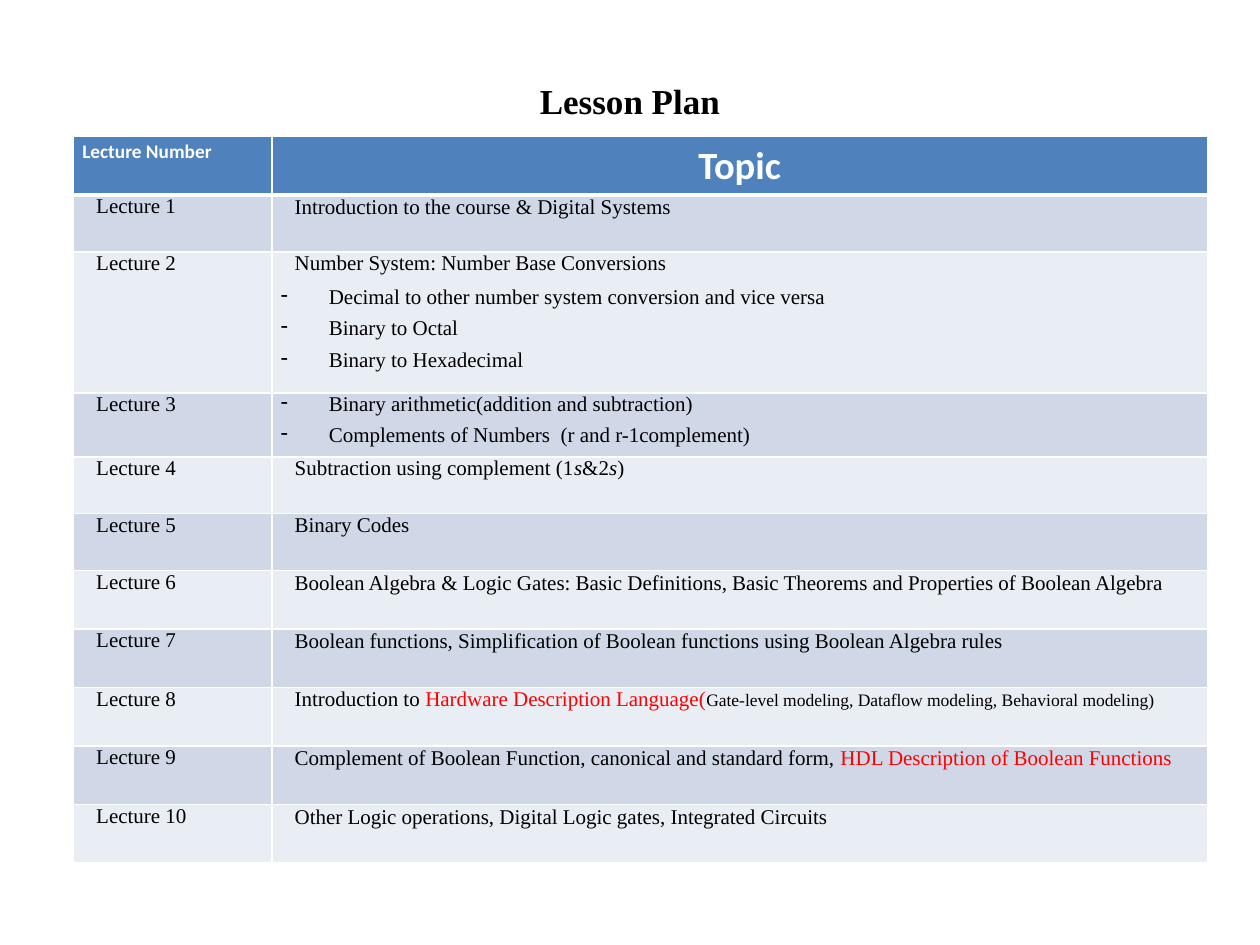
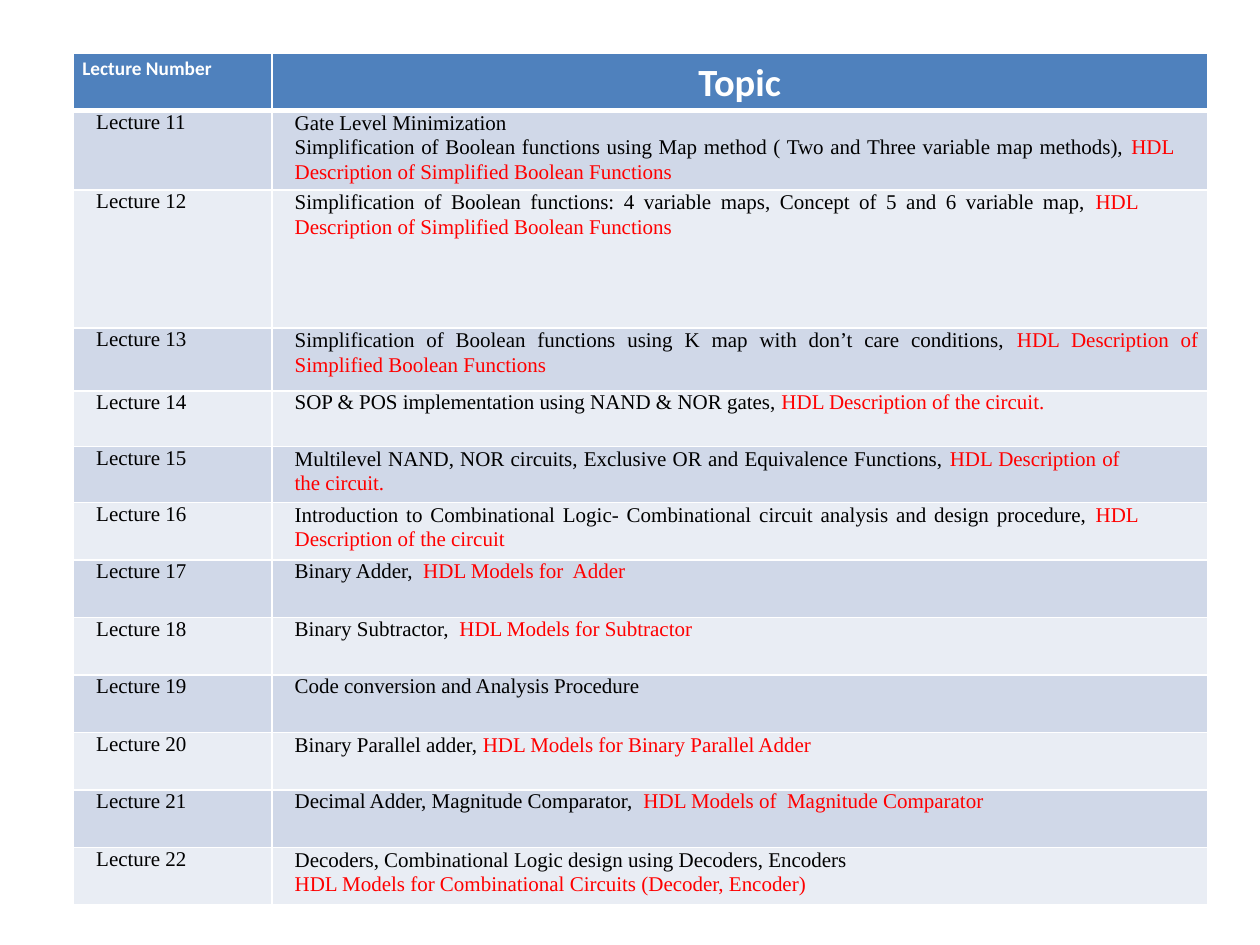
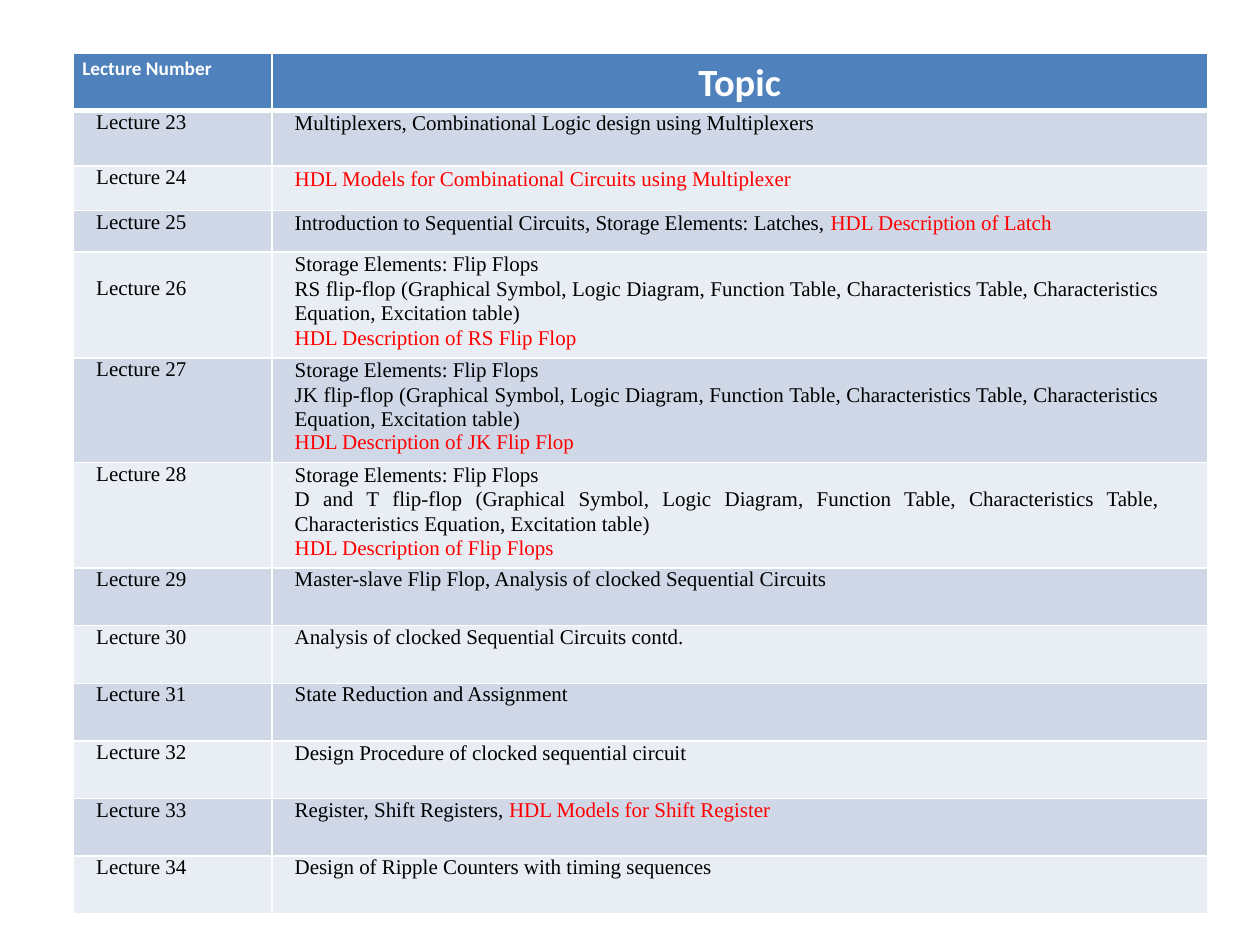
from dataclasses import dataclass
from functools import partial
from itertools import count

from lxml.etree import SubElement
from pptx import Presentation
from pptx.dml.color import RGBColor
from pptx.enum.text import MSO_ANCHOR, PP_ALIGN
from pptx.oxml import parse_xml
from pptx.oxml.ns import nsdecls, qn
from pptx.util import Cm, Pt


@dataclass(frozen=True)
class Theme:
    """Colours, fonts, type sizes and table measures of the deck."""
    ink: str = "000000"
    accent: str = "FF0000"
    white: str = "FFFFFF"
    header: str = "4F81BD"
    bands: tuple = ("D0D8E8", "E9EDF4")
    serif: str = "Times New Roman"
    sans: str = "Calibri"
    title_size: float = 20
    topic_size: float = 22
    label_size: float = 11
    body_size: float = 12
    small_size: float = 10
    inset: Cm = Cm(0.18)
    indent: Cm = Cm(0.28)
    hanging: Cm = Cm(0.97)
    columns: tuple = (Cm(4), Cm(18.86))
    table_left: Cm = Cm(1.48)


THEME = Theme()


def add_text(p, text, *, size=THEME.body_size, color=THEME.ink,
             font=THEME.serif, bold=False, italic=False):
    """Add one formatted run to a paragraph."""
    r = p.add_run()
    r.text = text
    r.font.size = Pt(size)
    r.font.name = font
    r.font.bold = bold
    r.font.italic = italic
    r.font.color.rgb = RGBColor.from_string(color)


def red(text):
    """Return a run in the accent colour."""
    return text, {"color": THEME.accent}


def italic(text):
    """Return an italic run."""
    return text, {"italic": True}


def small(text):
    """Return a run in the small size."""
    return text, {"size": THEME.small_size}


def para(*runs, align=PP_ALIGN.JUSTIFY, spacing=1.05, before=0, right=0,
         bullet=None, left=THEME.indent):
    """Describe a paragraph: its runs and its format."""
    return runs, dict(align=align, spacing=spacing, before=before,
                      right=right, bullet=bullet, left=left)


tight = partial(para, spacing=1)
dash = partial(tight, bullet="-", left=THEME.hanging)


def write_paragraph(p, runs, fmt):
    """Fill a paragraph from its description."""
    p.alignment = fmt["align"]
    p.line_spacing = fmt["spacing"]
    p.space_before = Pt(fmt["before"])
    pPr = p._p.get_or_add_pPr()
    pPr.set("marL", str(fmt["left"]))
    pPr.set("marR", str(Cm(fmt["right"])))
    pPr.set("indent", str(-fmt["left"] if fmt["bullet"] else 0))
    if fmt["bullet"]:
        SubElement(pPr, qn("a:buChar")).set("char", fmt["bullet"])
    for run in runs:
        text, style = (run, {}) if isinstance(run, str) else run
        add_text(p, text, **style)


class Deck:
    """Holds the theme, the presentation and the current slide."""

    def __init__(self, theme):
        """Start an empty 10 by 7.5 inch deck."""
        self.theme = theme
        self.prs = Presentation()
        self.prs.slide_width, self.prs.slide_height = Cm(25.4), Cm(19.05)
        self.slide = None
        self.numbers = count(1)

    def add_slide(self):
        """Add a blank slide and make it current."""
        self.slide = self.prs.slides.add_slide(self.prs.slide_layouts[6])

    def title(self, text):
        """Add the centred slide title."""
        sp = self.slide.shapes.add_textbox(Cm(0.85), Cm(1.48), Cm(23.7), Cm(3.58))
        tf = sp.text_frame
        tf.word_wrap = True
        tf.vertical_anchor = MSO_ANCHOR.TOP
        p = tf.paragraphs[0]
        p.alignment = PP_ALIGN.CENTER
        add_text(p, text, size=self.theme.title_size, bold=True)

    def cell(self, cell, fill, paragraphs, bottom=1, top=0):
        """Fill one cell and give it white borders, the lower one variable."""
        cell.margin_left = cell.margin_right = self.theme.inset
        cell.margin_top, cell.margin_bottom = Cm(top), 0
        cell.fill.solid()
        cell.fill.fore_color.rgb = RGBColor.from_string(fill)
        tcPr = cell._tc.get_or_add_tcPr()
        for i, side in enumerate("LRTB"):
            width = Pt(bottom if side == "B" else 1)
            tcPr.insert(i, parse_xml(
                f'<a:ln{side} {nsdecls("a")} w="{width}"><a:solidFill>'
                f'<a:srgbClr val="{self.theme.white}"/></a:solidFill></a:ln{side}>'))
        tf = cell.text_frame
        for i, (runs, fmt) in enumerate(paragraphs):
            p = tf.add_paragraph() if i else tf.paragraphs[0]
            write_paragraph(p, runs, fmt)

    def header(self, row, top_edge):
        """Write the two header cells."""
        th = self.theme
        style = dict(font=th.sans, color=th.white, bold=True)
        heads = (("Lecture Number", th.label_size, PP_ALIGN.LEFT),
                 ("Topic", th.topic_size, PP_ALIGN.CENTER))
        for cell, (text, size, align) in zip(row.cells, heads):
            line = para((text, dict(style, size=size)), align=align,
                        spacing=1.15, left=0)
            self.cell(cell, th.header, [line], bottom=3)

    def lectures(self, top, head_height, rows, lowered=()):
        """Add a table of lectures; lowered numbers start one line down."""
        th = self.theme
        heights = [head_height] + [height for height, _ in rows]
        frame = self.slide.shapes.add_table(
            len(heights), 2, th.table_left, Cm(top), sum(th.columns), Cm(sum(heights)))
        table = frame.table
        for column, width in zip(table.columns, th.columns):
            column.width = width
        for row, height in zip(table.rows, heights):
            row.height = Cm(height)
        self.header(table.rows[0], top)
        for i, (_, topic) in enumerate(rows):
            number = next(self.numbers)
            label, content = table.rows[i + 1].cells
            fill = th.bands[i % 2]
            self.cell(label, fill,
                      [tight(f"Lecture {number}", align=PP_ALIGN.LEFT)],
                      top=0.49 if number in lowered else 0)
            self.cell(content, fill, topic)


def flip_flop(kind, model, last=para):
    """Describe the topic of a lecture on one kind of flip-flop."""
    return [
        para("Storage Elements: Flip Flops"),
        para(f"{kind} flip-flop (Graphical Symbol, Logic Diagram, Function Table, "
             "Characteristics Table, Characteristics Equation, Excitation table)",
             right=0.78),
        last(red(f"HDL Description of {model}")),
    ]


NUMBERS_AND_ALGEBRA = [
    (1.15, [para("Introduction to the course & Digital Systems")]),
    (2.84, [tight("Number System: Number Base Conversions"),
            dash("Decimal to other number system conversion and vice versa",
                 before=5.1, spacing=1.05),
            dash("Binary to Octal", before=4.5),
            dash("Binary to Hexadecimal", before=5.2)]),
    (1.29, [dash("Binary arithmetic(addition and subtraction)", before=0.1),
            dash("Complements of Numbers  (r and r-1complement)", before=4.5)]),
    (1.14, [tight("Subtraction using complement (1", italic("s"), "&2",
                  italic("s"), ")", before=8.2)]),
    (1.15, [tight("Binary Codes")]),
    (1.18, [para("Boolean Algebra & Logic Gates: Basic Definitions, Basic Theorems "
                 "and Properties of Boolean Algebra")]),
    (1.18, [para("Boolean functions, Simplification of Boolean functions using "
                 "Boolean Algebra rules")]),
    (1.18, [tight("Introduction to ", red("Hardware Description Language("),
                  small("Gate-level modeling, Dataflow modeling, Behavioral modeling)"))]),
    (1.18, [para("Complement of Boolean Function, canonical and standard form,",
                 red(" HDL Description of Boolean Functions"))]),
    (1.18, [para("Other Logic operations, Digital Logic gates, Integrated Circuits")]),
]

SIMPLIFIED = red(" HDL Description of Simplified Boolean Functions")
COMBINATIONAL = [
    (1.59, [para("Gate Level Minimization"),
            para("Simplification of Boolean functions using Map method "
                 "( Two and Three variable map methods),", SIMPLIFIED, right=0.5)]),
    (2.78, [para("Simplification of Boolean functions: 4 variable maps, "
                 "Concept of 5 and 6 variable map,", SIMPLIFIED, right=1.22)]),
    (1.27, [para("Simplification of Boolean functions using K map with "
                 "don’t care conditions,", SIMPLIFIED)]),
    (1.12, [tight("SOP & POS implementation using NAND & NOR gates,",
                  red(" HDL Description of the circuit."))]),
    (1.13, [para("Multilevel NAND, NOR circuits, Exclusive OR and Equivalence Functions,",
                 red(" HDL Description of the circuit."), right=1.58)]),
    (1.16, [para("Introduction to Combinational Logic- Combinational circuit analysis "
                 "and design procedure, ", red("HDL Description of the circuit"),
                 right=1.22)]),
    (1.16, [tight("Binary Adder,", red("  HDL Models for  Adder"))]),
    (1.16, [tight("Binary Subtractor,", red("  HDL Models for Subtractor"))]),
    (1.16, [tight("Code conversion and Analysis Procedure")]),
    (1.16, [para("Binary Parallel adder, ", red("HDL Models for Binary Parallel Adder"))]),
    (1.16, [tight("Decimal Adder, Magnitude Comparator,  ",
                  red("HDL Models of  Magnitude Comparator"))]),
    (1.16, [para("Decoders, Combinational Logic design using Decoders, Encoders"),
            para(red("HDL Models for Combinational Circuits (Decoder, Encoder)"))]),
]

SEQUENTIAL = [
    (1.12, [para("Multiplexers, Combinational Logic design using Multiplexers")]),
    (0.89, [para(red("HDL Models for Combinational Circuits using Multiplexer"))]),
    (0.84, [para("Introduction to Sequential Circuits, Storage Elements: Latches,",
                 red(" HDL Description of Latch"))]),
    (2.13, flip_flop("RS", "RS Flip Flop")),
    (2.1, flip_flop("JK", "JK Flip Flop", last=tight)),
    (2.13, flip_flop("D and T", "Flip Flops")),
    (1.16, [tight("Master-slave Flip Flop, Analysis of clocked Sequential Circuits")]),
    (1.16, [tight("Analysis of clocked Sequential Circuits contd.")]),
    (1.16, [tight("State Reduction and Assignment")]),
    (1.16, [para("Design Procedure of clocked sequential circuit")]),
    (1.16, [tight("Register, Shift Registers,", red(" HDL Models for Shift Register"))]),
    (1.16, [tight("Design of Ripple Counters with timing sequences")]),
]


def main():
    """Build the three slides of the lesson plan."""
    deck = Deck(THEME)
    deck.add_slide()
    deck.title("Lesson Plan")
    deck.lectures(2.75, 1.18, NUMBERS_AND_ALGEBRA)
    deck.add_slide()
    deck.lectures(1.07, 1.16, COMBINATIONAL)
    deck.add_slide()
    deck.lectures(1.07, 1.16, SEQUENTIAL, lowered={26})
    deck.prs.save("out.pptx")


main()
